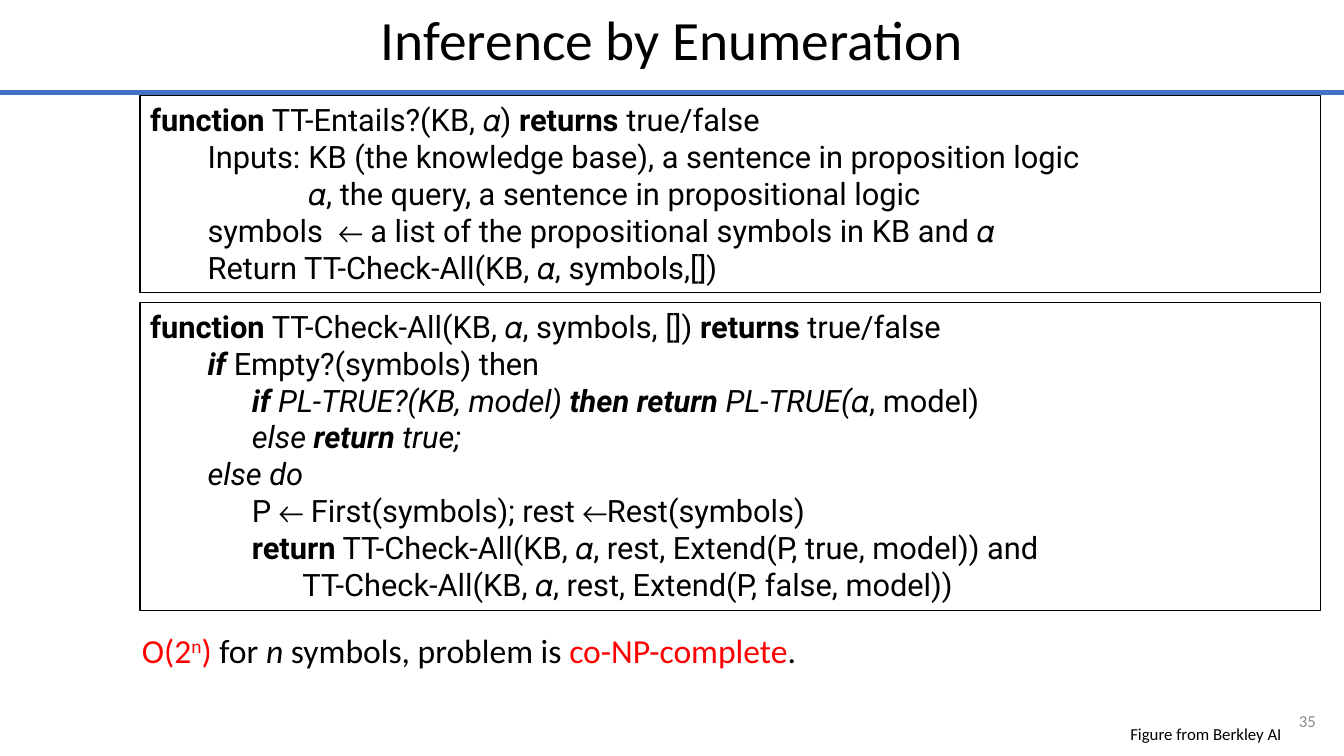
from lxml.etree import SubElement
from pptx import Presentation
from pptx.dml.color import RGBColor
from pptx.enum.shapes import MSO_CONNECTOR, MSO_SHAPE
from pptx.enum.text import MSO_ANCHOR, MSO_AUTO_SIZE, PP_ALIGN
from pptx.oxml.ns import qn
from pptx.util import Inches, Pt

COLORS = {"black": "000000", "white": "FFFFFF", "blue": "4472C4",
          "red": "FF0000", "gray": "8C8C8C"}
INDENTS = [0, 0.57, 1.01]

ENTAILS = [
    (0, [("function", "b"), (" TT-Entails?(KB, 𝛼) ", ""), ("returns", "b"), (" true/false", "")]),
    (1, [("Inputs: \tKB (the knowledge base), a sentence in proposition logic", "")]),
    (1, [("\t\t𝛼, the query, a sentence in propositional logic", "")]),
    (1, [("symbols  ← a list of the propositional symbols in KB and 𝛼", "")]),
    (1, [("Return TT-Check-All(KB, 𝛼, symbols,[])", "")]),
]
CHECK_ALL = [
    (0, [("function", "b"), (" TT-Check-All(KB, 𝛼, symbols, []) ", ""), ("returns", "b"),
         (" true/false", "")]),
    (1, [("if ", "bi"), ("Empty?(symbols) then", "")]),
    (2, [("if ", "bi"), ("PL-TRUE?(KB, model) ", "i"), ("then return ", "bi"),
         ("PL-TRUE(", "i"), ("𝛼, model)", "")]),
    (2, [("else ", "i"), ("return", "bi"), (" true;", "i")]),
    (1, [("else do", "i")]),
    (2, [("P ← First(symbols); rest ←Rest(symbols)", "")]),
    (2, [("return", "b"), (" TT-Check-All(KB, 𝛼, rest, Extend(P, true, model)) and", "")]),
    (2, [("\tTT-Check-All(KB, 𝛼, rest, Extend(P, false, model))", "")]),
]


def rgb(name):
    return RGBColor.from_string(COLORS[name])


def add_run(p, text, size, color="black", style="", font="Calibri"):
    r = p.add_run()
    r.text = text
    values = {"name": font, "size": Pt(size), "bold": "b" in style, "italic": "i" in style}
    for key, value in values.items():
        setattr(r.font, key, value)
    r.font.color.rgb = rgb(color)
    if "^" in style:
        r._r.get_or_add_rPr().set("baseline", "30000")


def add_text(s, box, runs, align=PP_ALIGN.LEFT, anchor=MSO_ANCHOR.TOP, spacing=0.9):
    tf = s.shapes.add_textbox(*map(Inches, box)).text_frame
    for key, value in {"word_wrap": True, "vertical_anchor": anchor}.items():
        setattr(tf, key, value)
    p = tf.paragraphs[0]
    for key, value in {"alignment": align, "line_spacing": spacing}.items():
        setattr(p, key, value)
    for run in runs:
        add_run(p, *run)


def add_header(s, box):
    left, top, width, height = box
    add_text(s, box, [("Inference by Enumeration", 39.6)], PP_ALIGN.CENTER, MSO_ANCHOR.MIDDLE)
    y = top + height + 0.16
    rule = s.shapes.add_connector(MSO_CONNECTOR.STRAIGHT, Inches(left), Inches(y),
                                  Inches(left + width), Inches(y))
    rule.line.color.rgb = rgb("blue")
    rule.line.width = Pt(3.75)
    SubElement(rule._element.spPr, qn("a:effectLst"))


def add_code(s, box, lines):
    sp = s.shapes.add_shape(MSO_SHAPE.RECTANGLE, *map(Inches, box))
    sp.shadow.inherit = False
    sp.fill.background()
    sp.line.color.rgb = rgb("black")
    sp.line.width = Pt(1)
    tf = sp.text_frame
    values = {"word_wrap": True, "vertical_anchor": MSO_ANCHOR.TOP,
              "auto_size": MSO_AUTO_SIZE.SHAPE_TO_FIT_TEXT}
    for key, value in values.items():
        setattr(tf, key, value)
    for i, (level, runs) in enumerate(lines):
        p = tf.add_paragraph() if i else tf.paragraphs[0]
        p.alignment = PP_ALIGN.LEFT
        pPr = p._p.get_or_add_pPr()
        pPr.set("marL", str(Inches(INDENTS[level])))
        pPr.set("indent", "0")
        for text, style in runs:
            add_run(p, text, 22, style=style, font="Roboto")


def add_complexity(s, box):
    add_text(s, box, [("O(2", 24, "red"), ("n", 24, "red", "^"), (") ", 24, "red"),
                      ("for ", 24), ("n", 24, "black", "i"), (" symbols, problem is ", 24),
                      ("co-NP-complete", 24, "red"), (".", 24)])


def add_footer(s, box):
    left, top, width, height = box
    add_text(s, (left, top + 0.2, 1.98, 0.27), [("Figure from Berkley AI", 12)], PP_ALIGN.RIGHT)
    add_text(s, (left + width - 0.68, top, 0.68, 0.4), [("35", 12, "gray")],
             PP_ALIGN.RIGHT, MSO_ANCHOR.MIDDLE, 1.0)


def main():
    prs = Presentation()
    prs.slide_width, prs.slide_height = Inches(13.33), Inches(7.5)
    s = prs.slides.add_slide(prs.slide_layouts[6])
    s.background.fill.solid()
    s.background.fill.fore_color.rgb = rgb("white")
    add_header(s, (0, 0.09, 13.33, 0.67))
    add_code(s, (1.39, 0.95, 11.71, 1.95), ENTAILS)
    add_code(s, (1.39, 3, 11.71, 3.06), CHECK_ALL)
    add_complexity(s, (1.31, 6.25, 12.22, 0.57))
    add_footer(s, (10.83, 6.95, 2.32, 0.47))
    prs.save("out.pptx")


if __name__ == "__main__":
    main()
